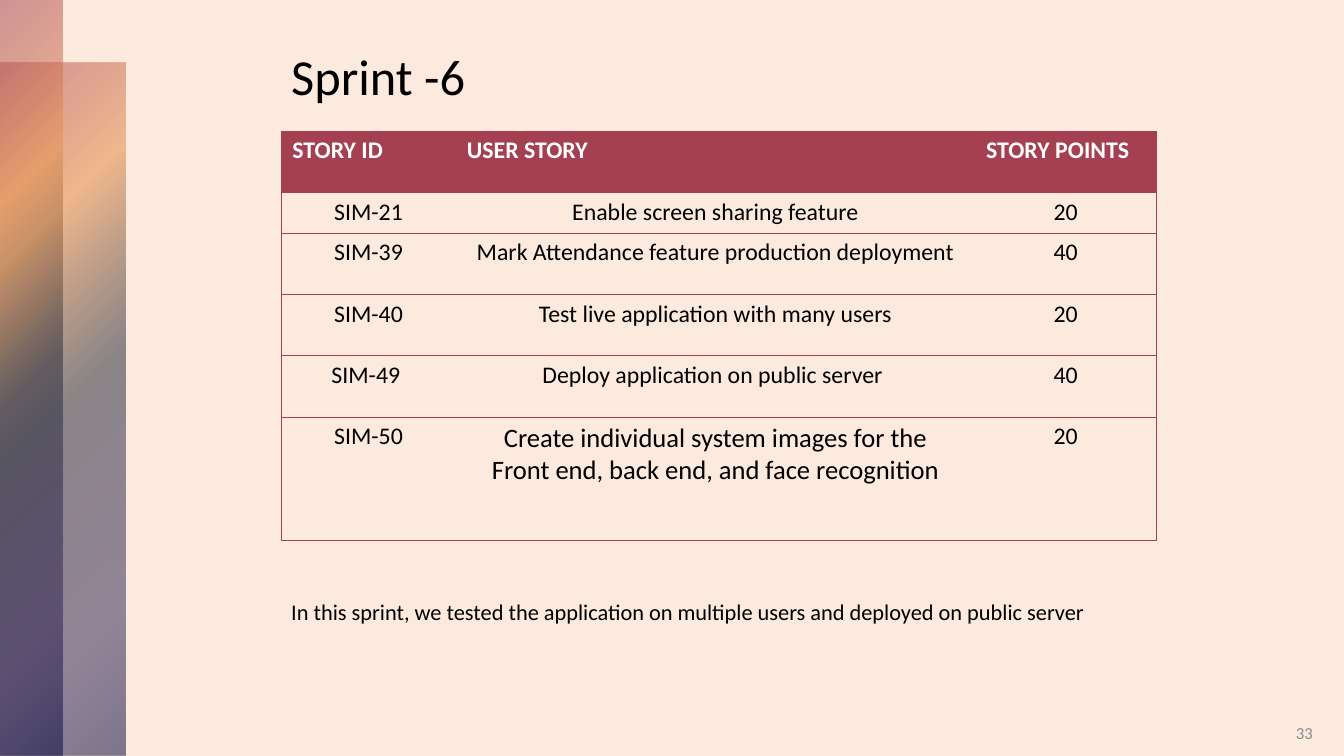
import pptx
import pptx.util
import pptx.dml.color
import pptx.enum.shapes
import pptx.enum.text
import pptx.oxml
import pptx.oxml.ns

Inches = pptx.util.Inches
RGBColor = pptx.dml.color.RGBColor
ALIGN = pptx.enum.text.PP_ALIGN
ANCHOR = pptx.enum.text.MSO_ANCHOR

CREAM = RGBColor(0xFB, 0xEA, 0xDD)
CRIMSON = RGBColor(0xA5, 0x3F, 0x52)
ORANGE = RGBColor(0xE9, 0x97, 0x57)
SLATE = RGBColor(0x2F, 0x33, 0x42)
PURPLE = RGBColor(0x2C, 0x21, 0x53)
NAVY = RGBColor(0x01, 0x02, 0x3B)
BLACK = RGBColor(0, 0, 0)
WHITE = RGBColor(0xFF, 0xFF, 0xFF)
GRAY = RGBColor(0x8C, 0x8C, 0x8C)

# Position, colour and opacity, all in percent
SUNSET = [(0, CRIMSON, 50), (25, ORANGE, 60), (50, SLATE, 55),
          (81, PURPLE, 50), (99, NAVY, 50)]
NSDECL = pptx.oxml.ns.nsdecls("a")

NO_BREAK = chr(160)  # keeps "Front end" on one line
HEADINGS = ["STORY ID", "USER STORY", "STORY POINTS"]
STORIES = [
    ("SIM-21", "Enable screen sharing feature", "20"),
    ("SIM-39", "Mark Attendance feature production deployment", "40"),
    ("SIM-40", "Test live application with many users", "20"),
    ("SIM-49 ", "Deploy application on public server ", "40"),
    ("SIM-50", "Create individual system images for the "
               f"Front{NO_BREAK}end, back end, and face recognition", "20"),
]
COLUMN_WIDTHS = [1.73, 5.15, 1.8]
ROW_HEIGHTS = [0.61, 0.4, 0.61, 0.61, 0.61, 1.22]


def write_text(tf, text, size, color=BLACK, bold=False, **paragraph_format):
    p = tf.paragraphs[0]
    for name, value in paragraph_format.items():
        setattr(p, name, value)
    r = p.add_run()
    r.text = text
    r.font.color.rgb = color
    for name, value in {"name": "Calibri", "size": pptx.util.Pt(size),
                        "bold": bold}.items():
        setattr(r.font, name, value)


def add_text(s, box, text, size, anchor=ANCHOR.TOP, **text_format):
    tf = s.shapes.add_textbox(*map(Inches, box)).text_frame
    tf.word_wrap = True
    tf.vertical_anchor = anchor
    write_text(tf, text, size, **text_format)


def add_sunset_band(s, box):
    """Add a translucent band whose gradient starts in its top left corner."""
    sp = s.shapes.add_shape(pptx.enum.shapes.MSO_SHAPE.RECTANGLE,
                            *map(Inches, box))
    sp.shadow.inherit = False
    sp.line.fill.background()
    stops = "".join(
        f'<a:gs pos="{pos * 1000}"><a:srgbClr val="{color}">'
        f'<a:alpha val="{opacity * 1000}"/></a:srgbClr></a:gs>'
        for pos, color, opacity in SUNSET)
    gradient = pptx.oxml.parse_xml(
        f'<a:gradFill {NSDECL} rotWithShape="1"><a:gsLst>{stops}</a:gsLst>'
        '<a:path path="circle"><a:fillToRect r="100000" b="100000"/></a:path>'
        '</a:gradFill>')
    sp.element.spPr.find(pptx.oxml.ns.qn("a:prstGeom")).addnext(gradient)


def set_borders(cell, ruled_sides):
    """Rule the given sides of a cell and clear the others."""
    props = cell._tc.get_or_add_tcPr()
    for i, side in enumerate("LRTB"):
        fill = (f'<a:solidFill><a:srgbClr val="{CRIMSON}"/></a:solidFill>'
                if side in ruled_sides else "<a:noFill/>")
        props.insert(i, pptx.oxml.parse_xml(
            f'<a:ln{side} {NSDECL} w="6350">{fill}</a:ln{side}>'))


def add_story_table(s, left, top):
    rows = [HEADINGS, *STORIES]
    table = s.shapes.add_table(
        len(rows), len(HEADINGS), Inches(left), Inches(top),
        Inches(sum(COLUMN_WIDTHS)), Inches(sum(ROW_HEIGHTS))).table
    for column, width in zip(table.columns, COLUMN_WIDTHS):
        column.width = Inches(width)
    for row, height in zip(table.rows, ROW_HEIGHTS):
        row.height = Inches(height)
    side_rules = ["L", "", "R"]
    for i, texts in enumerate(rows):
        for j, text in enumerate(texts):
            cell = table.cell(i, j)
            cell.margin_left = cell.margin_right = Inches(0.11)
            if i == 0:
                cell.fill.solid()
                cell.fill.fore_color.rgb = CRIMSON
                write_text(cell.text_frame, text, 17, WHITE, True)
            else:
                cell.fill.background()
                size = 19 if (i, j) == (len(STORIES), 1) else 17
                write_text(cell.text_frame, text, size,
                           alignment=ALIGN.CENTER)
            set_borders(cell, "TB" + side_rules[j])


def add_sprint_slide(prs):
    s = prs.slides.add_slide(prs.slide_layouts[6])
    s.background.fill.solid()
    s.background.fill.fore_color.rgb = CREAM
    add_sunset_band(s, (0, 0.62, 1.24, 6.88))
    add_sunset_band(s, (0, 0, 0.62, 7.5))
    left = 2.79
    add_text(s, (left, 0.4, 2.26, 0.71), "Sprint -6", 36)
    add_story_table(s, left, 1.3)
    add_text(s, (left, 5.75, 8.39, 0.9),
             "In this sprint, we tested the application on multiple users "
             "and deployed on public server", 16, line_spacing=1.5)
    add_text(s, (12.63, 7.07, 0.49, 0.4), "33", 12, ANCHOR.MIDDLE,
             color=GRAY, alignment=ALIGN.RIGHT, space_after=pptx.util.Pt(6))


def main():
    prs = pptx.Presentation()
    prs.slide_width = Inches(13.33)
    prs.slide_height = Inches(7.5)
    add_sprint_slide(prs)
    prs.save("out.pptx")


if __name__ == "__main__":
    main()
